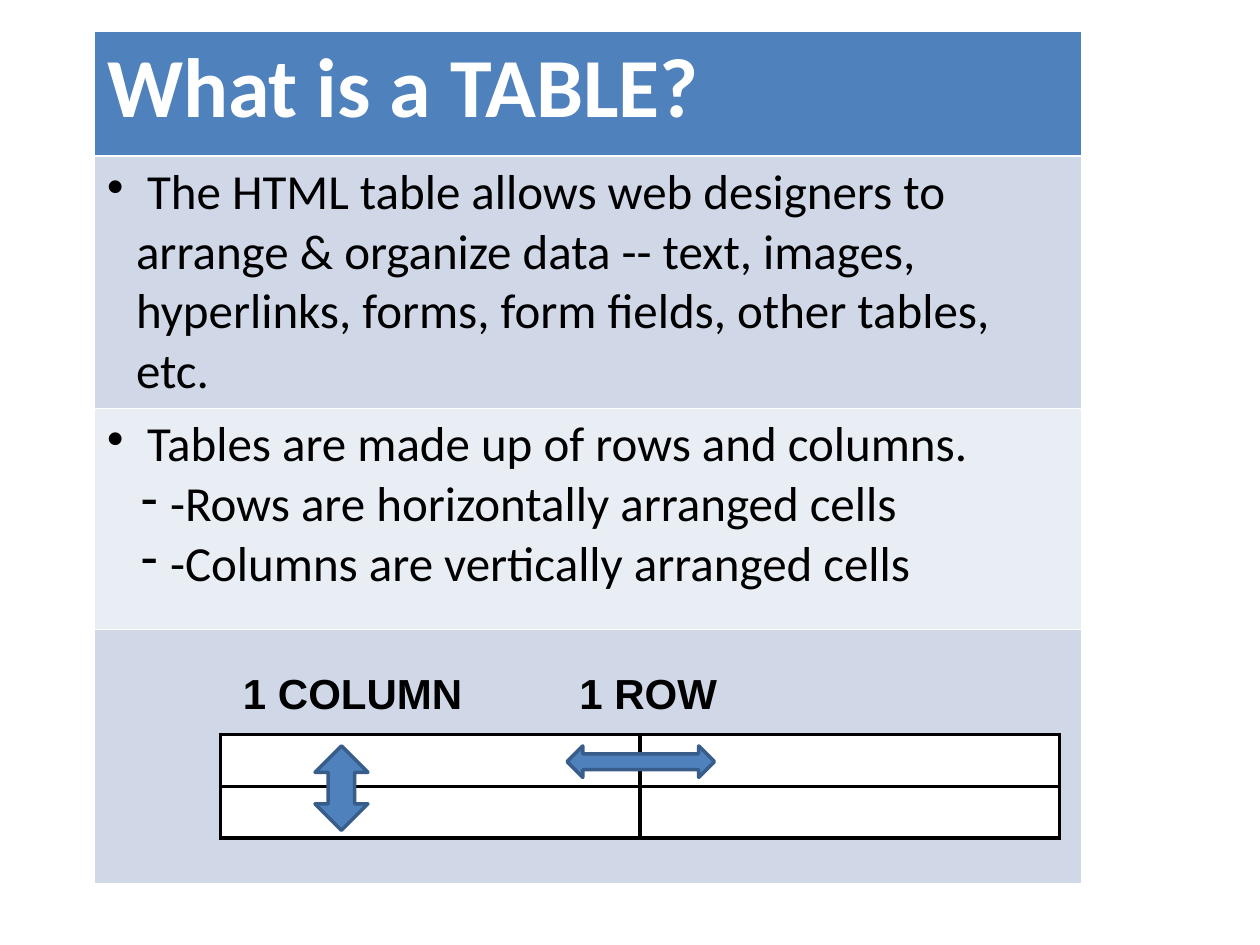
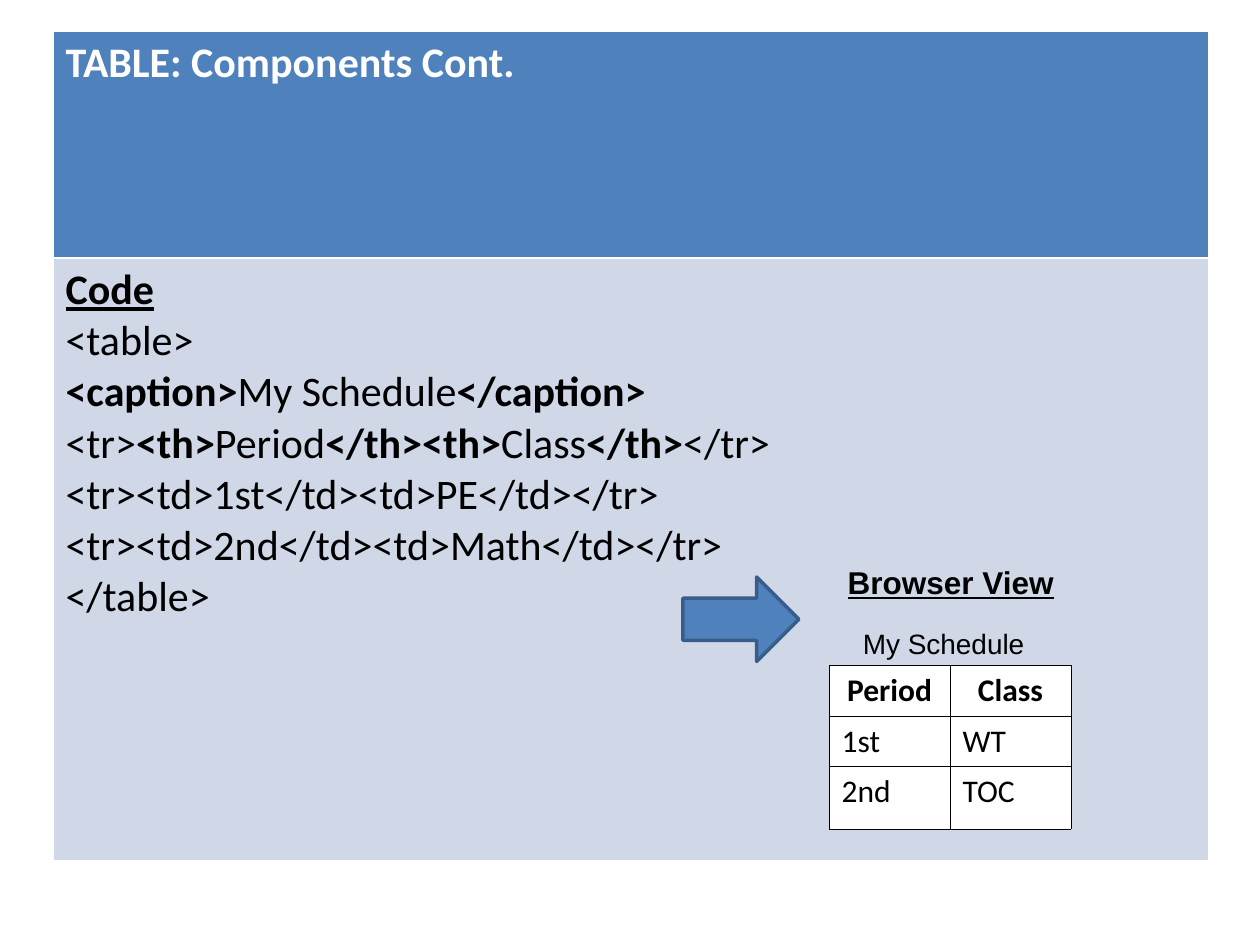
from lxml import etree
from pptx import Presentation
from pptx import util as u
from pptx.dml.color import RGBColor
from pptx.enum import shapes, text
from pptx.oxml.ns import qn

SCALE = 9144
COLORS = {
    "header": "4F81BD",
    "band": "D0D8E8",
    "light band": "E9EDF4",
    "outline": "385D8A",
    "ink": "000000",
    "paper": "FFFFFF",
}
HANG = 23


def write(frame, lines, size, font="Calibri", color="ink", bold=False,
          underline=False, align=None, bullets=()):
    for index, line in enumerate(lines):
        para = frame.paragraphs[0] if index == 0 else frame.add_paragraph()
        para.alignment = align
        if bullets:
            mark, margin = bullets[index]
            props = para._p.get_or_add_pPr()
            props.set("marL", str(margin * SCALE))
            props.set("indent", str(-HANG * SCALE))
            etree.SubElement(props, qn("a:buChar"), char=mark)
        para.font.size = u.Pt(size)
        para.font.name = font
        para.font.color.rgb = RGBColor.from_string(COLORS[color])
        para.font.underline = underline
        pieces = line.split("*")
        if len(pieces) == 1:
            para.font.bold = bold
        for turn, piece in enumerate(pieces):
            if piece:
                span = para.add_run()
                span.text = piece
                if len(pieces) > 1:
                    span.font.bold = turn % 2 == 1


def add_grid(page, left, top, widths, heights, fills, line_color, line_width, divider=None):
    grid = page.shapes.add_table(
        len(heights), len(widths), left * SCALE, top * SCALE,
        sum(widths) * SCALE, sum(heights) * SCALE).table
    grid.first_row = False
    grid.horz_banding = False
    for column, width in zip(grid.columns, widths):
        column.width = width * SCALE
    for index, (row, height, fill) in enumerate(zip(grid.rows, heights, fills)):
        row.height = height * SCALE
        for cell in row.cells:
            props = cell._tc.get_or_add_tcPr()
            for side in "LRTB":
                beside_header = (index, side) in [(0, "B"), (1, "T")]
                points = divider if divider and beside_header else line_width
                edge = etree.SubElement(props, qn(f"a:ln{side}"), w=str(u.Pt(points)))
                paint = etree.SubElement(edge, qn("a:solidFill"))
                etree.SubElement(paint, qn("a:srgbClr"), val=COLORS[line_color])
            cell.fill.solid()
            cell.fill.fore_color.rgb = RGBColor.from_string(COLORS[fill])
    return grid


deck = Presentation()
deck.slide_width = 1000 * SCALE
deck.slide_height = 750 * SCALE
blank = deck.slide_layouts[6]
intro = deck.slides.add_slide(blank)
components = deck.slides.add_slide(blank)

panel = add_grid(intro, 75, 25, [783], [99, 200, 175, 202],
                 ["header", "band", "light band", "band"], "paper", 0.45, 1.47)
write(panel.cell(0, 0).text_frame, ["What is a TABLE?"], 48, color="paper", bold=True)
write(panel.cell(1, 0).text_frame, [
    " The HTML table allows web designers to arrange & organize data -- text, images, "
    "hyperlinks, forms, form fields, other tables, etc."], 28, bullets=[("•", HANG)])
write(panel.cell(2, 0).text_frame, [
    " Tables are made up of rows and columns.",
    "-Rows are horizontally arranged cells",
    "-Columns are vertically arranged cells",
], 28, bullets=[("•", HANG), ("-", 50), ("-", 50)])
add_grid(intro, 175, 583, [333, 333], [41, 41], ["paper", "paper"], "ink", 2.21)

panel = add_grid(components, 42, 25, [917], [180, 478], ["header", "band"], "paper", 0.45, 1.47)
write(panel.cell(0, 0).text_frame, ["TABLE: Components Cont."], 24, color="paper", bold=True)
code = panel.cell(1, 0).text_frame
write(code, [
    "Code",
    "<table>",
    "*<caption>*My Schedule*</caption>*",
    "<tr>*<th>*Period*</th><th>*Class*</th>*</tr>",
    "<tr><td>1st</td><td>PE</td></tr>",
    "<tr><td>2nd</td><td>Math</td></tr>",
    "</table>",
], 24)
code.paragraphs[0].font.bold = True
code.paragraphs[0].font.underline = True

schedule = add_grid(components, 658, 528, [96, 96], [40, 40, 50], ["paper"] * 3, "ink", 0.23)
for r, entries in enumerate([("Period", "Class"), ("1st", "WT"), ("2nd", "TOC")]):
    for c, entry in enumerate(entries):
        heading = r == 0
        write(schedule.cell(r, c).text_frame, [entry], 18, bold=heading,
              align=text.PP_ALIGN.CENTER if heading else None)

for page, label, left, top, width, height, size, bold, underline in [
    (intro, "1 ROW", 450, 525, 150, 50, 24, True, False),
    (intro, "1 COLUMN", 183, 525, 233, 50, 24, True, False),
    (components, "Browser View", 663, 442, 200, 40, 18, True, True),
    (components, "My Schedule", 675, 492, 158, 37, 16, False, False),
]:
    box = page.shapes.add_textbox(left * SCALE, top * SCALE, width * SCALE, height * SCALE)
    box.text_frame.word_wrap = True
    box.text_frame.auto_size = text.MSO_AUTO_SIZE.SHAPE_TO_FIT_TEXT
    write(box.text_frame, [label], size, "Arial", bold=bold, underline=underline)

UP_DOWN = shapes.MSO_SHAPE.UP_DOWN_ARROW
for page, kind, left, top, width, height, angle in [
    (intro, UP_DOWN, 250, 592, 42, 67, 0),
    (intro, UP_DOWN, 496, 546, 25, 117, 90),
    (components, shapes.MSO_SHAPE.RIGHT_ARROW, 542, 458, 92, 67, 0),
]:
    arrow = page.shapes.add_shape(kind, left * SCALE, top * SCALE, width * SCALE, height * SCALE)
    arrow.rotation = angle
    arrow.shadow.inherit = False
    arrow.fill.solid()
    arrow.fill.fore_color.rgb = RGBColor.from_string(COLORS["header"])
    arrow.line.color.rgb = RGBColor.from_string(COLORS["outline"])
    arrow.line.width = u.Pt(2)

deck.save("out.pptx")
